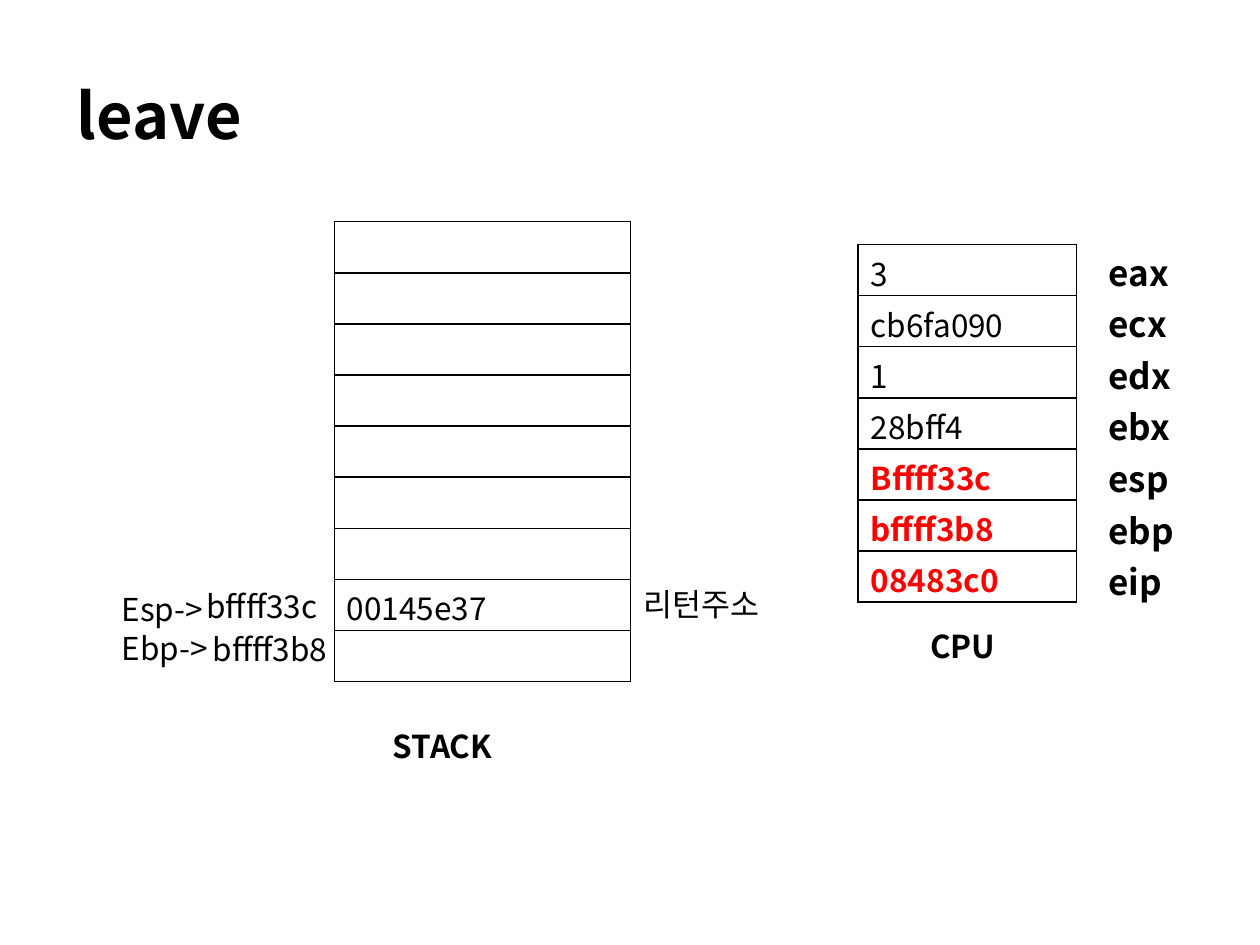
from dataclasses import dataclass

import pptx
import pptx.dml.color
import pptx.enum.text
import pptx.oxml
import pptx.oxml.ns
import pptx.util
from lxml import etree
from pptx.util import Cm, Pt


@dataclass(frozen=True)
class Theme:
    font: str = "Noto Sans CJK KR"
    ink: str = "000000"
    accent: str = "FF0000"
    title: int = 36
    register: int = 20
    body: int = 18
    border: int = 1


@dataclass(frozen=True)
class Label:
    text: str
    x: float
    y: float
    w: float
    h: float = 1.02
    size: int = Theme.body
    bold: bool = False


@dataclass(frozen=True)
class Value:
    text: str = ""
    hot: bool = False


THEME = Theme()
ROW = 1.03
REGISTER_STEP = 1.04
CPU_TOP = 4.93


def add_run(p, text: str, size: int, bold: bool = False, color: str = THEME.ink) -> None:
    r = p.add_run()
    r.text = text
    r.font.name = THEME.font
    r.font.size = Pt(size)
    r.font.bold = bold
    r.font.color.rgb = pptx.dml.color.RGBColor.from_string(color)
    ea = etree.SubElement(r.font._element, pptx.oxml.ns.qn("a:ea"))
    ea.set("typeface", THEME.font)


def add_label(s, label: Label) -> None:
    sp = s.shapes.add_textbox(Cm(label.x), Cm(label.y), Cm(label.w), Cm(label.h))
    tf = sp.text_frame
    tf.word_wrap = True
    tf.margin_top = tf.margin_bottom = 0
    tf.vertical_anchor = pptx.enum.text.MSO_ANCHOR.MIDDLE
    add_run(tf.paragraphs[0], label.text, label.size, label.bold)


def add_borders(cell) -> None:
    pr = cell._tc.get_or_add_tcPr()
    for i, side in enumerate(("lnL", "lnR", "lnT", "lnB")):
        pr.insert(i, pptx.oxml.parse_xml(
            f'<a:{side} {pptx.oxml.ns.nsdecls("a")} w="{Pt(THEME.border)}"><a:solidFill>'
            f'<a:srgbClr val="{THEME.ink}"/></a:solidFill></a:{side}>'))


def add_column(s, x: float, y: float, w: float, values: list[Value]) -> None:
    frame = s.shapes.add_table(len(values), 1, Cm(x), Cm(y), Cm(w), Cm(ROW * len(values)))
    table = frame.table
    table.first_row = table.horz_banding = False
    for i, value in enumerate(values):
        table.rows[i].height = Cm(ROW)
        cell = table.cell(i, 0)
        cell.fill.background()
        cell.margin_top, cell.margin_bottom = Cm(0.1), 0
        add_borders(cell)
        if value.text:
            color = THEME.accent if value.hot else THEME.ink
            add_run(cell.text_frame.paragraphs[0], value.text, THEME.body, value.hot, color)


prs = pptx.Presentation()
prs.slide_width, prs.slide_height = Cm(25.4), Cm(19.05)
s = prs.slides.add_slide(prs.slide_layouts[6])

stack = [Value()] * 7 + [Value("00145e37"), Value()]
registers = {
    "eax": Value("3"),
    "ecx": Value("cb6fa090"),
    "edx": Value("1"),
    "ebx": Value("28bff4"),
    "esp": Value("Bffff33c", True),
    "ebp": Value("bffff3b8", True),
    "eip": Value("08483c0", True),
}
add_column(s, 6.74, 4.47, 5.97, stack)
add_column(s, 17.3, CPU_TOP, 4.4, list(registers.values()))

labels = [
    Label("leave", 1.3, 1.4, 16.8, 1.8, THEME.title, True),
    Label("CPU", 18.5, 12.52, 2.2, bold=True),
    Label("STACK", 7.67, 14.53, 2.6, bold=True),
    Label("리턴주소", 12.73, 11.66, 4),
    Label("Esp->", 2.2, 11.76, 2.4),
    Label("bffff33c", 3.91, 11.7, 3.1),
    Label("Ebp->", 2.2, 12.55, 2.4),
    Label("bffff3b8", 4.04, 12.57, 3.28),
]
labels += [
    Label(name, 22.1, CPU_TOP + i * REGISTER_STEP, 2.6, 1.11, THEME.register, True)
    for i, name in enumerate(registers)
]
for label in labels:
    add_label(s, label)

prs.save("out.pptx")
